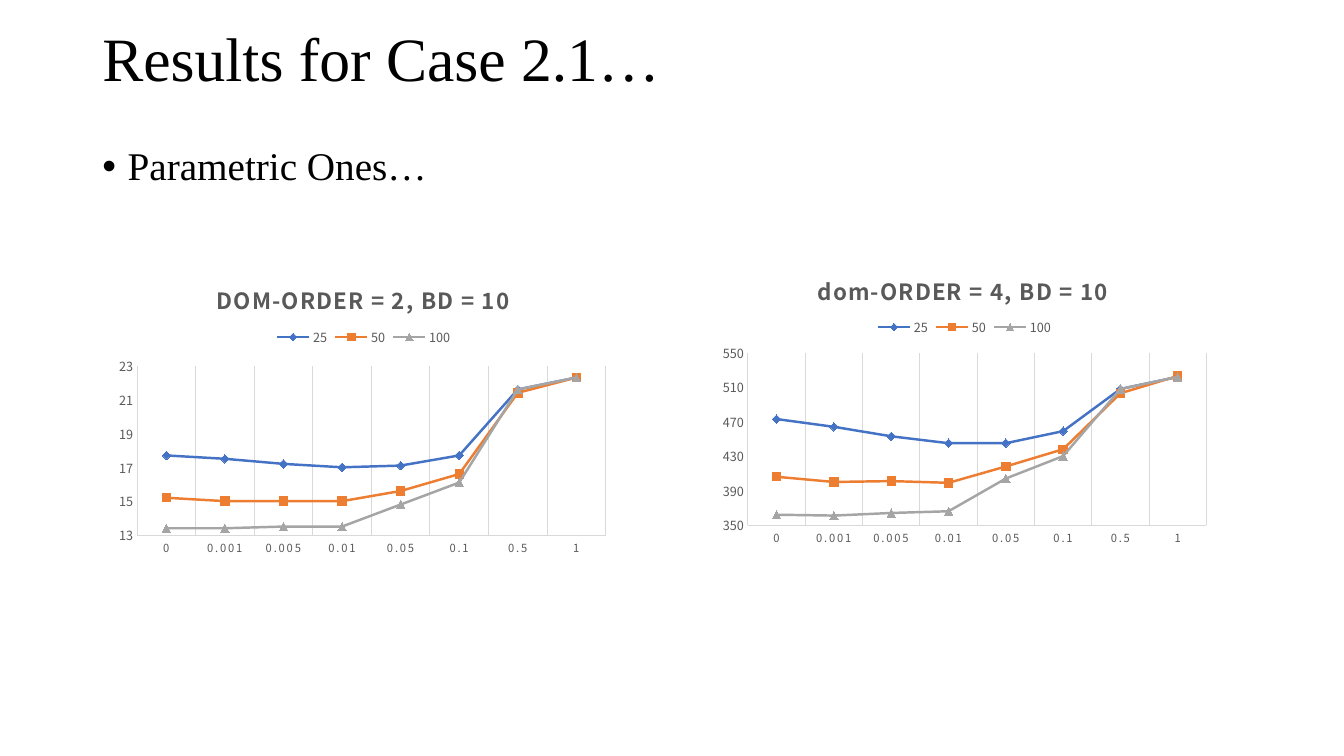
from lxml import etree
from pptx import Presentation
from pptx.chart.data import CategoryChartData as ChartData
from pptx.dml.color import RGBColor
from pptx.enum.chart import XL_CHART_TYPE as ChartType
from pptx.enum.chart import XL_LEGEND_POSITION as LegendPosition
from pptx.enum.chart import XL_MARKER_STYLE as Marker
from pptx.enum.chart import XL_TICK_MARK as TickMark
from pptx.enum.text import MSO_ANCHOR as Anchor
from pptx.oxml.ns import qn
from pptx.util import Cm, Pt

COLOURS = {
    "background": "FFFFFF",
    "text": "000000",
    "label": "595959",
    "grid": "D9D9D9",
    "blue": "4472C4",
    "orange": "ED7D31",
    "grey": "A5A5A5",
}
TEXT_FONT = "Times New Roman"
CHART_FONT = "Noto Sans CJK SC"
CATEGORIES = ["0", "0.001", "0.005", "0.01", "0.05", "0.1", "0.5", "1"]
SERIES_STYLES = [
    ("25", "blue", Marker.DIAMOND),
    ("50", "orange", Marker.SQUARE),
    ("100", "grey", Marker.TRIANGLE),
]
ORDER_2_VALUES = [
    [17.7, 17.5, 17.2, 17, 17.1, 17.7, 21.6, 22.3],
    [15.2, 15, 15, 15, 15.6, 16.6, 21.4, 22.3],
    [13.4, 13.4, 13.5, 13.5, 14.8, 16.1, 21.6, 22.3],
]
ORDER_4_VALUES = [
    [473, 464, 453, 445, 445, 459, 508, 522],
    [406, 400, 401, 399, 418, 438, 503, 523],
    [362, 361, 364, 366, 404, 430, 508, 522],
]


def colour(name):
    return RGBColor.from_string(COLOURS[name])


def set_font(font, size, name=CHART_FONT, fill="label", bold=False):
    font.name, font.size, font.bold = name, Pt(size), bold
    font.color.rgb = colour(fill)


def set_line(line, fill, width):
    line.color.rgb = colour(fill)
    line.width = Pt(width)


def add_text(slide, text, left, top, width, height, size,
             anchor=Anchor.TOP, bullet=None):
    box = slide.shapes.add_textbox(Cm(left), Cm(top), Cm(width), Cm(height))
    frame = box.text_frame
    frame.word_wrap = True
    frame.vertical_anchor = anchor
    para = frame.paragraphs[0]
    para.line_spacing = 0.9
    span = para.add_run()
    span.text = text
    set_font(span.font, size, TEXT_FONT, "text")
    if bullet:
        para.space_before = Pt(10)
        properties = para._p.get_or_add_pPr()
        indent = Cm(0.64)
        properties.set("marL", str(indent))
        properties.set("indent", str(-indent))
        etree.SubElement(properties, qn("a:buFont")).set("typeface", "Arial")
        etree.SubElement(properties, qn("a:buChar")).set("char", bullet)


def place(element, index, inner=False, **fractions):
    """Fix a chart part at fractions (x, y, w, h) of the chart's size."""
    for old in element.findall(qn("c:layout")):
        element.remove(old)
    layout = etree.Element(qn("c:layout"))
    manual = etree.SubElement(layout, qn("c:manualLayout"))
    if inner:
        etree.SubElement(manual, qn("c:layoutTarget")).set("val", "inner")
    for key in ("x", "y"):
        etree.SubElement(manual, qn(f"c:{key}Mode")).set("val", "edge")
    for key, value in fractions.items():
        etree.SubElement(manual, qn(f"c:{key}")).set("val", str(value))
    element.insert(index, layout)


def style_title(chart, title):
    chart.has_title = True
    frame = chart.chart_title.text_frame
    frame.text = title
    span = frame.paragraphs[0].runs[0]
    set_font(span.font, 16, bold=True)
    span.font._element.set("spc", "100")
    chart.chart_title.include_in_layout = False
    place(chart.chart_title._element, 1, x=0.2, y=0.06)


def style_legend(chart):
    chart.has_legend = True
    legend = chart.legend
    legend.position = LegendPosition.TOP
    legend.include_in_layout = False
    set_font(legend.font, 9)
    place(legend._element, 1, x=0.32, y=0.22, w=0.36, h=0.07)


def style_axes(chart, low, high, step):
    category, value = chart.category_axis, chart.value_axis
    for axis, size in ((category, 8), (value, 9)):
        axis.major_tick_mark = axis.minor_tick_mark = TickMark.NONE
        set_font(axis.tick_labels.font, size)
        set_line(axis.format.line, "grid", 0.75)
    category.tick_labels.font._element.set("spc", "120")
    category.has_major_gridlines = True
    set_line(category.major_gridlines.format.line, "grid", 0.75)
    value.has_major_gridlines = False
    value.minimum_scale, value.maximum_scale = low, high
    value.major_unit = step


def style_series(chart):
    for series, (_, fill, marker) in zip(chart.plots[0].series, SERIES_STYLES):
        series.smooth = False
        set_line(series.format.line, fill, 1.75)
        series.marker.style, series.marker.size = marker, 6
        series.marker.format.fill.solid()
        series.marker.format.fill.fore_color.rgb = colour(fill)
        set_line(series.marker.format.line, fill, 0.75)


def add_line_chart(slide, title, left, top, rows, scale, plot_area):
    data = ChartData(number_format="General")
    data.categories = CATEGORIES
    for (name, _, _), values in zip(SERIES_STYLES, rows):
        data.add_series(name, values)
    chart = slide.shapes.add_chart(
        ChartType.LINE_MARKERS, Cm(left), Cm(top), Cm(12.7), Cm(7.62), data
    ).chart
    set_font(chart.font, 10, fill="text")
    chart.plots[0].vary_by_categories = False
    style_title(chart, title)
    style_legend(chart)
    style_axes(chart, *scale)
    style_series(chart)
    plot = chart._chartSpace.find(".//" + qn("c:plotArea"))
    place(plot, 0, inner=True, **plot_area)


def main():
    deck = Presentation()
    deck.slide_width, deck.slide_height = Cm(33.87), Cm(19.05)
    page = deck.slides.add_slide(deck.slide_layouts[6])
    page.background.fill.solid()
    page.background.fill.fore_color.rgb = colour("background")

    # Heading and bullet
    add_text(page, "Parametric Ones…", 2.33, 3.58, 29.21, 13.6, 28, bullet="•")
    add_text(page, "Results for Case 2.1…", 2.33, 0.43, 22.6, 2.24, 44,
             anchor=Anchor.MIDDLE)

    # Charts for the two orders
    add_line_chart(page, "dom-ORDER = 4, BD = 10", 17.96, 6.3, ORDER_4_VALUES,
                   (350, 550, 40), dict(x=0.07, y=0.34, w=0.91, h=0.57))
    add_line_chart(page, "DOM-ORDER = 2, BD = 10", 2.82, 6.55, ORDER_2_VALUES,
                   (13, 23, 2), dict(x=0.05, y=0.35, w=0.93, h=0.56))

    deck.save("out.pptx")


main()
